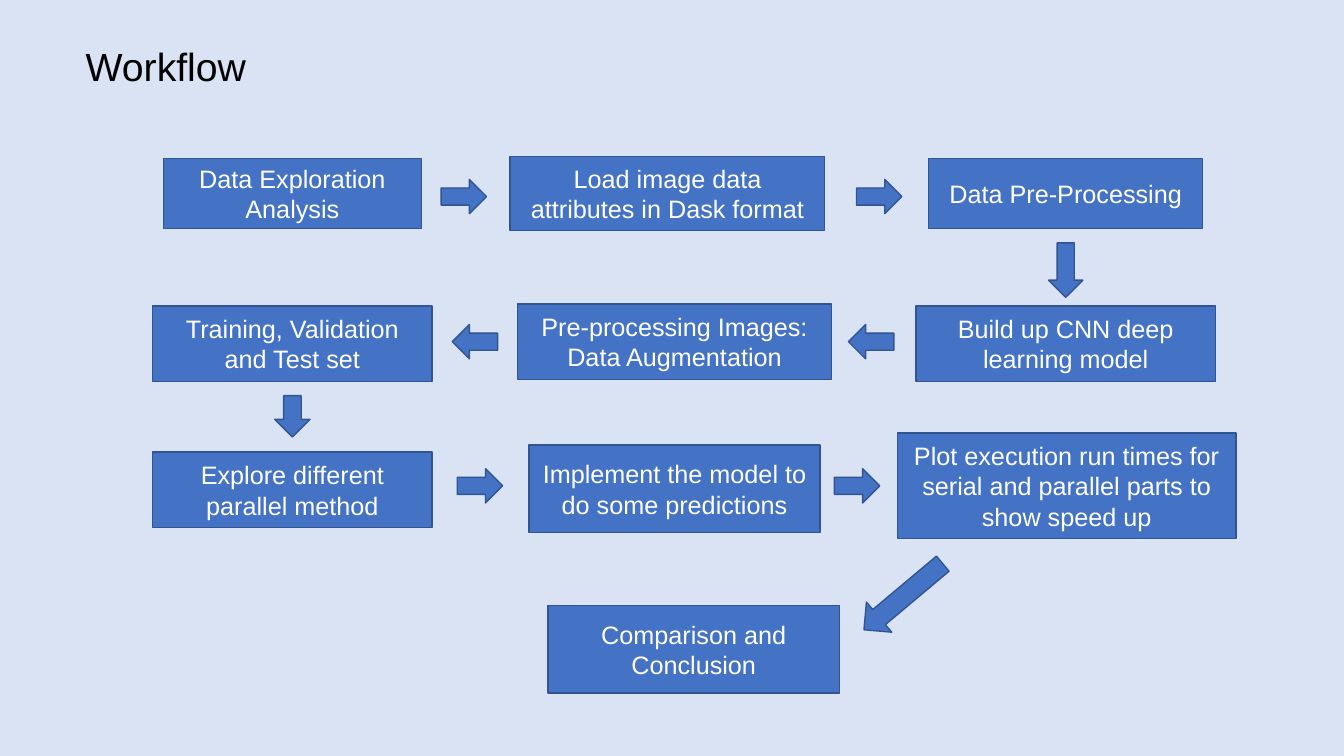
from dataclasses import dataclass

from pptx import Presentation
from pptx import util as u
from pptx.dml.color import RGBColor
from pptx.enum import shapes, text


@dataclass(frozen=True)
class Theme:
    """Colours, font and type sizes of the slide."""
    back: str = "DAE3F3"
    fill: str = "4472C4"
    line: str = "325491"
    title: str = "000000"
    label: str = "FFFFFF"
    font: str = "Arial"
    title_size: int = 28
    label_size: int = 18


@dataclass(frozen=True)
class Box:
    """A region in inches, divided into a grid of columns and rows."""
    left: float
    top: float
    width: float
    height: float
    cols: int = 1
    rows: int = 1

    def centred(self, x, y, w, h):
        """Return the frame of a part centred at column x and row y."""
        dx, dy = self.width / self.cols, self.height / self.rows
        return [u.Inches(n) for n in
                (self.left + (x - w / 2) * dx, self.top + (y - h / 2) * dy, w * dx, h * dy)]


THEME = Theme()
SLIDE = Box(0, 0, 13.33, 7.5)
TITLE = Box(0.75, 0.31, 7.81, 0.75)
FLOW = Box(1.5, 1.5, 10.8, 5.4, cols=108, rows=54)
LEFT, MIDDLE, RIGHT = 14, 51.9, 90.7
ROW_1, ROW_2, ROW_3, ROW_4 = 4.2, 19.1, 33.5, 49.4
ACROSS = (4.5, 3.4)
MS = shapes.MSO_SHAPE

STEPS = [
    ("Data Exploration Analysis", LEFT, ROW_1, 25.6, 6.9),
    ("Load image data attributes in Dask format", 51.2, ROW_1, 31.2, 7.3),
    ("Data Pre-Processing", RIGHT, ROW_1, 27.2, 6.9),
    ("Build up CNN deep learning model", RIGHT, ROW_2, 29.7, 7.5),
    ("Pre-processing Images: Data Augmentation", MIDDLE, 18.9, 31.2, 7.5),
    ("Training, Validation and Test set", LEFT, ROW_2, 27.7, 7.5),
    ("Explore different parallel method", LEFT, 33.6, 27.7, 7.5),
    ("Implement the model to do some predictions", MIDDLE, ROW_3, 28.9, 8.7),
    ("Plot execution run times for serial and parallel parts to show speed up",
     RIGHT + 0.1, 33.2, 33.6, 10.5),
    ("Comparison and Conclusion", 53.8, ROW_4, 28.9, 8.7),
]
ARROWS = [
    (MS.RIGHT_ARROW, 31, 4.5, *ACROSS, 0),
    (MS.RIGHT_ARROW, 72.2, 4.5, *ACROSS, 0),
    (MS.DOWN_ARROW, RIGHT, 11.8, 3.4, 5.4, 0),
    (MS.LEFT_ARROW, 71.4, 18.9, *ACROSS, 0),
    (MS.LEFT_ARROW, 32.1, 18.9, *ACROSS, 0),
    (MS.DOWN_ARROW, LEFT, 26.3, 3.5, 4.1, 0),
    (MS.RIGHT_ARROW, 32.6, 33.2, *ACROSS, 0),
    (MS.RIGHT_ARROW, 70, 33.2, *ACROSS, 0),
    (MS.DOWN_ARROW, 74.6, 44.2, 3.9, 10.2, 50),
]


def add_text(tf, words, size, colour, align):
    """Write one run of text into a vertically centred frame."""
    tf.word_wrap = True
    tf.vertical_anchor = text.MSO_ANCHOR.MIDDLE
    p = tf.paragraphs[0]
    p.alignment = align
    r = p.add_run()
    r.text = words
    r.font.name = THEME.font
    r.font.size = u.Pt(size)
    r.font.color.rgb = RGBColor.from_string(colour)
    return p


def add_title(s, box, words):
    """Place the title placeholder in its box."""
    sp = s.shapes.title
    sp.left, sp.top, sp.width, sp.height = box.centred(0.5, 0.5, 1, 1)
    p = add_text(sp.text_frame, words, THEME.title_size, THEME.title, text.PP_ALIGN.LEFT)
    p.line_spacing = 0.9


def add_block(s, kind, frame):
    """Add a filled and outlined preset shape."""
    sp = s.shapes.add_shape(kind, *frame)
    sp.shadow.inherit = False
    sp.fill.solid()
    sp.fill.fore_color.rgb = RGBColor.from_string(THEME.fill)
    sp.line.color.rgb = RGBColor.from_string(THEME.line)
    sp.line.width = u.Pt(1)
    return sp


def add_flow(s, box):
    """Draw the steps and the arrows between them on the grid of the box."""
    for words, *place in STEPS:
        sp = add_block(s, MS.RECTANGLE, box.centred(*place))
        add_text(sp.text_frame, words, THEME.label_size, THEME.label, text.PP_ALIGN.CENTER)
    for kind, *place, turn in ARROWS:
        sp = add_block(s, kind, box.centred(*place))
        sp.rotation = turn


def main():
    """Build and save the workflow slide."""
    prs = Presentation()
    prs.slide_width, prs.slide_height = u.Inches(SLIDE.width), u.Inches(SLIDE.height)
    s = prs.slides.add_slide(prs.slide_layouts.get_by_name("Title Only"))
    s.background.fill.solid()
    s.background.fill.fore_color.rgb = RGBColor.from_string(THEME.back)
    add_title(s, TITLE, "Workflow")
    add_flow(s, FLOW)
    prs.save("out.pptx")


if __name__ == "__main__":
    main()
